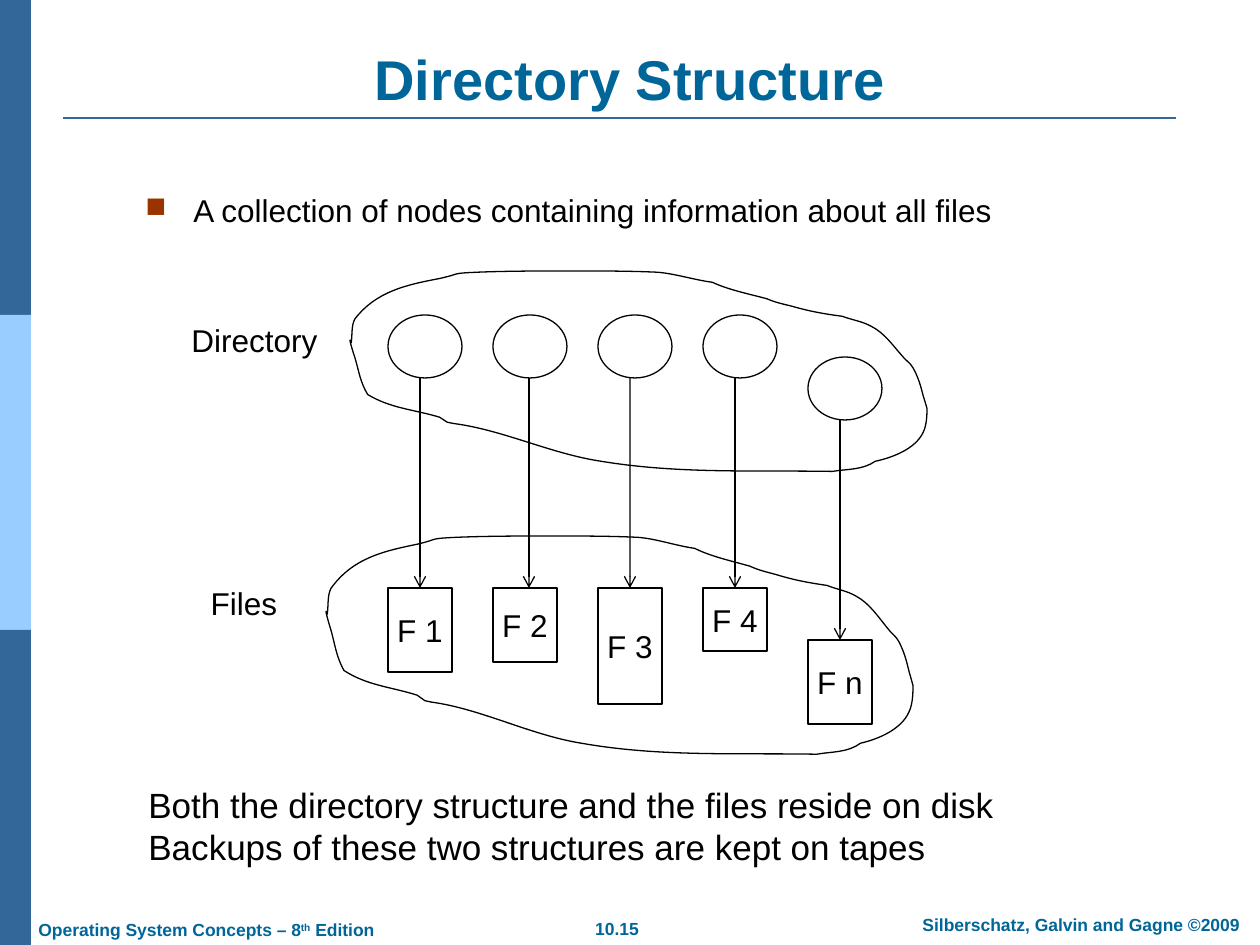
from lxml.etree import SubElement
from pptx import Presentation
from pptx.dml.color import RGBColor
from pptx.enum.shapes import MSO_CONNECTOR as Connector, MSO_SHAPE as Shape
from pptx.enum.text import MSO_ANCHOR as Anchor, PP_ALIGN as Align
from pptx.oxml.ns import qn
from pptx.util import Pt

PX = 914400 / 126
BLUE, SKY, TEAL, RUST = "336699", "99CCFF", "006699", "993300"
BLACK, WHITE = "000000", "FFFFFF"


def paint(color_format, color):
    """Apply a hex colour to a fill's fore_color, a line or a font colour."""
    color_format.rgb = RGBColor.from_string(color)


def write(shape, lines, size, color=BLACK, bold=False, align=Align.LEFT,
          anchor=Anchor.TOP, wrap=True):
    """Fill a shape with paragraphs, each a list of run texts."""
    frame = shape.text_frame
    for key, value in {"word_wrap": wrap, "vertical_anchor": anchor}.items():
        setattr(frame, key, value)
    for i, texts in enumerate(lines):
        paragraph = frame.paragraphs[0] if i == 0 else frame.add_paragraph()
        paragraph.alignment = align
        for text in texts:
            run = paragraph.add_run()
            run.text = text
            for key, value in {"name": "Arial", "size": Pt(size), "bold": bold}.items():
                setattr(run.font, key, value)
            paint(run.font.color, color)
    return frame


prs = Presentation()
prs.slide_width, prs.slide_height = round(1260 * PX), round(945 * PX)
shapes = prs.slides.add_slide(prs.slide_layouts[6]).shapes

# Side bar and title rule
for i, color in enumerate([BLUE, SKY, BLUE]):
    band = shapes.add_shape(Shape.RECTANGLE, 0, round(i * 315 * PX),
                            round(31 * PX), round(315 * PX))
    band.shadow.inherit = False
    band.fill.solid()
    paint(band.fill.fore_color, color)
    band.line.fill.background()
rule = shapes.add_connector(Connector.STRAIGHT, *[round(v * PX) for v in (63, 118, 1176, 118)])
SubElement(rule._element.spPr, qn("a:effectLst"))
rule.line.width = Pt(1.5)
paint(rule.line.color, BLUE)

# All free-standing text
footer = {"size": 10, "color": TEAL, "bold": True}
label = {"size": 18, "align": Align.CENTER, "anchor": Anchor.MIDDLE, "wrap": False}
texts = [
    ((550, 912, 134, 34), [["10.15"]], {**footer, "align": Align.CENTER}),
    ((894, 908, 374, 34), [["Silberschatz, Galvin and Gagne ©2009"]],
     {**footer, "align": Align.CENTER}),
    ((26, 913, 372, 34), [["Operating System Concepts – 8", "th", " Edition"]], footer),
    ((63, 39, 1134, 79), [["Directory Structure"]],
     {"size": 32, "color": TEAL, "bold": True, "align": Align.CENTER, "anchor": Anchor.BOTTOM}),
    ((133, 189, 1016, 49),
     [["A collection of nodes containing information about all files"]], {"size": 18}),
    ((179, 315, 151, 50), [["Directory"]], label),
    ((198, 578, 92, 50), [["Files"]], label),
    ((136, 777, 969, 53),
     [["Both the directory structure and the files reside on disk"],
      ["Backups of these two structures are kept on tapes"]], {"size": 20}),
]
for box, lines, style in texts:
    frame = write(shapes.add_textbox(*[round(v * PX) for v in box]), lines, **style)
    first = frame.paragraphs[0]
    if lines[0][0].startswith("A collection"):
        first.line_spacing = 0.9
        properties = first._p.get_or_add_pPr()
        properties.set("marL", str(round(48 * PX)))
        properties.set("indent", str(round(-48 * PX)))
        SubElement(SubElement(properties, qn("a:buClr")), qn("a:srgbClr")).set("val", RUST)
        SubElement(properties, qn("a:buSzPct")).set("val", "90000")
        SubElement(properties, qn("a:buChar")).set("char", "■")
    for run in first.runs:
        if run.text == "th":
            run._r.get_or_add_rPr().set("baseline", "30000")

# Directory entries, each pointing to its file: name, drops of entry and file,
# file height, arrow's distance from the middle of the file
entries = [("F 1", 0, 0, 84, 0), ("F 2", 0, 0, 74, 4), ("F 3", 0, 0, 116, 0),
           ("F 4", 0, 0, 63, 0), ("F n", 42, 52, 84, 0)]
for i, (name, entry_drop, file_drop, height, shift) in enumerate(entries):
    left, entry_top, file_top = 388 + 105 * i, 315 + entry_drop, 588 + file_drop
    entry = shapes.add_shape(Shape.OVAL, *[round(v * PX) for v in (left, entry_top, 74, 63)])
    file = shapes.add_shape(Shape.RECTANGLE,
                            *[round(v * PX) for v in (left, file_top, 64, height)])
    for node in (entry, file):
        node.shadow.inherit = False
        node.fill.solid()
        paint(node.fill.fore_color, WHITE)
        node.line.width = Pt(0.75)
        paint(node.line.color, BLACK)
    write(file, [[name]], **label)

    x = left + 32 + shift
    arrow = shapes.add_connector(Connector.STRAIGHT,
                                 *[round(v * PX) for v in (x, entry_top + 63, x, file_top)])
    if shift == 0:
        arrow.end_connect(file, 0)
    arrow.line.width = Pt(0.75)
    paint(arrow.line.color, BLACK)
    SubElement(arrow.line._get_or_add_ln(), qn("a:tailEnd")).set("type", "arrow")
    SubElement(arrow._element.spPr, qn("a:effectLst"))

# Cloud outline as cubic curves on a 457 by 161 grid: two controls and an end each
CLOUD_START = (1, 57)
CLOUD = [
    (2, 50, 1, 43, 4, 38), (21, 16, 45, 11, 71, 6), (89, 2, 79, 2, 101, 1),
    (126, 0, 151, 0, 177, 0), (199, 0, 221, 0, 243, 1), (257, 2, 272, 7, 287, 9),
    (300, 15, 315, 18, 330, 22), (337, 25, 342, 26, 350, 28), (364, 32, 375, 34, 390, 36),
    (398, 39, 406, 40, 413, 44), (423, 49, 430, 59, 437, 67), (440, 71, 444, 73, 446, 77),
    (450, 84, 452, 91, 454, 99), (455, 102, 457, 109, 457, 109),
    (457, 113, 457, 122, 454, 128), (448, 141, 430, 148, 416, 151),
    (406, 158, 394, 157, 382, 159), (318, 158, 260, 161, 199, 151),
    (159, 145, 121, 126, 82, 121), (80, 121, 79, 120, 77, 120), (75, 119, 73, 117, 71, 116),
    (51, 110, 32, 109, 14, 98), (8, 88, 7, 79, 4, 69), (4, 69, 0, 57, 0, 55),
    (0, 54, 1, 56, 1, 57),
]
outline = [CLOUD_START] + [curve[i:i + 2] for curve in CLOUD for i in (0, 2, 4)]

for left, top, width, height in [(350, 271, 577, 203), (326, 536, 587, 221)]:
    points = [(round((left + x * width / 457) * PX), round((top + y * height / 161) * PX))
              for x, y in outline]
    builder = shapes.build_freeform(*points[0])
    builder.add_line_segments(points[1:], close=False)
    cloud = builder.convert_to_shape()
    # Join every three straight steps into one cubic curve
    steps = list(cloud._element.iter(qn("a:lnTo")))
    route = steps[0].getparent()
    for i in range(0, len(steps), 3):
        curve = SubElement(route, qn("a:cubicBezTo"))
        for step in steps[i:i + 3]:
            curve.append(step[0])
            route.remove(step)
    SubElement(route, qn("a:close"))
    cloud.shadow.inherit = False
    cloud.fill.background()
    cloud.line.width = Pt(0.75)
    paint(cloud.line.color, BLACK)

prs.save("out.pptx")
